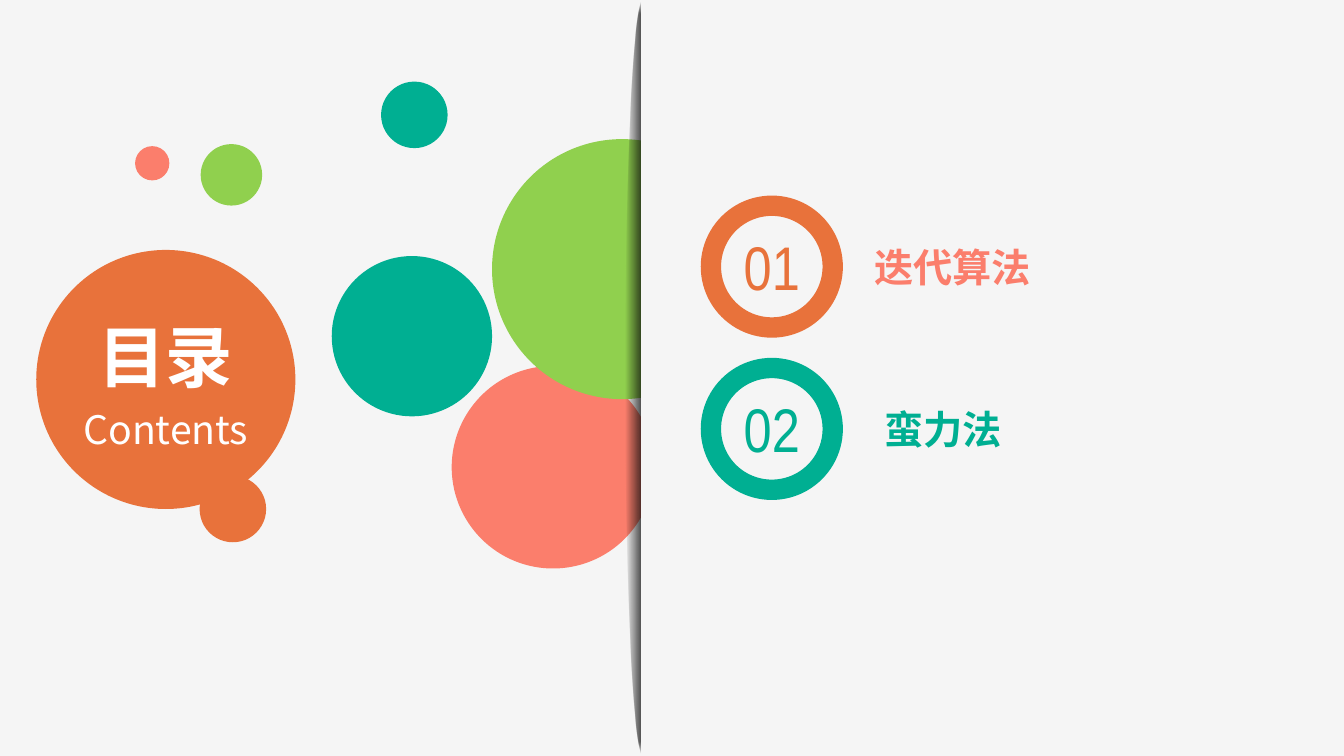
from lxml.etree import SubElement
from pptx import Presentation
from pptx.dml.color import RGBColor
from pptx.enum.shapes import MSO_SHAPE
from pptx.enum.text import MSO_ANCHOR, MSO_AUTO_SIZE, PP_ALIGN
from pptx.oxml import parse_xml
from pptx.oxml.ns import qn
from pptx.util import Inches, Pt

CORAL = RGBColor(0xFB, 0x7E, 0x6C)
ORANGE = RGBColor(0xE8, 0x72, 0x3B)
TEAL = RGBColor(0x00, 0xAF, 0x92)
GREEN = RGBColor(0x90, 0xD0, 0x4E)
PALE = RGBColor(0xF5, 0xF5, 0xF5)
WHITE = RGBColor(0xFF, 0xFF, 0xFF)

HEADING_FONT = "Noto Sans CJK SC"
NUMBER_FONT = "Arial Narrow"

BUBBLES = [
    (4.48, 3.63, 2.01, CORAL),
    (0.36, 2.48, 2.57, ORANGE),
    (3.29, 2.54, 1.59, TEAL),
    (4.88, 1.38, 2.58, GREEN),
    (1.98, 4.72, 0.66, ORANGE),
    (3.78, 0.81, 0.66, TEAL),
    (1.99, 1.43, 0.61, GREEN),
    (1.34, 1.45, 0.34, CORAL),
]

SECTIONS = [
    ("01", "迭代算法", ORANGE, CORAL, 3.34),
    ("02", "蛮力法", TEAL, TEAL, 3.15),
]
ROW_PITCH = 1.61
RING_SIZE = 1.41

FOLD_GRADIENT = """
<a:gradFill xmlns:a="http://schemas.openxmlformats.org/drawingml/2006/main" rotWithShape="1">
  <a:gsLst>
    <a:gs pos="0"><a:srgbClr val="0D0D0D"><a:alpha val="80000"/></a:srgbClr></a:gs>
    <a:gs pos="100000"><a:srgbClr val="0D0D0D"><a:alpha val="0"/></a:srgbClr></a:gs>
  </a:gsLst>
  <a:path path="shape"><a:fillToRect l="50000" t="50000" r="50000" b="50000"/></a:path>
</a:gradFill>"""


def add_solid(slide, preset, left, top, width, height, color):
    """Add a flat shape without outline or shadow."""
    shape = slide.shapes.add_shape(
        preset, Inches(left), Inches(top), Inches(width), Inches(height))
    shape.shadow.inherit = False
    shape.fill.solid()
    shape.fill.fore_color.rgb = color
    shape.line.fill.background()
    return shape


def style_paragraph(paragraph, font_name, color):
    """Centre a paragraph and set its typeface and colour."""
    paragraph.alignment = PP_ALIGN.CENTER
    paragraph.font.color.rgb = color
    paragraph.font.name = font_name
    SubElement(paragraph.font._element, qn("a:ea")).set("typeface", font_name)


def add_label(slide, left, top, width, height, text, font_name, size, color):
    """Add a centred one-line text box and return it."""
    label = slide.shapes.add_textbox(
        Inches(left), Inches(top), Inches(width), Inches(height))
    label.text_frame.auto_size = MSO_AUTO_SIZE.SHAPE_TO_FIT_TEXT
    paragraph = label.text_frame.paragraphs[0]
    paragraph.text = text
    style_paragraph(paragraph, font_name, color)
    paragraph.font.size = Pt(size)
    return label


def add_bubbles(slide, left, top):
    """Scatter the coloured circles from the given corner."""
    for x, y, diameter, color in BUBBLES:
        add_solid(slide, MSO_SHAPE.OVAL, left + x, top + y, diameter, diameter, color)


def add_page_fold(slide, left, top, width, height):
    """Lay the right-hand page over a soft shadow along its edge."""
    shadow = add_solid(slide, MSO_SHAPE.OVAL, left - 0.15, top, 0.34, height, PALE)
    properties = shadow._element.spPr
    properties.replace(properties.find(qn("a:solidFill")), parse_xml(FOLD_GRADIENT))
    add_solid(slide, MSO_SHAPE.RECTANGLE, left, top, width, height, PALE)


def place_title(slide, left, top, width, height):
    """Put the two-line heading on top of the large orange bubble."""
    title = slide.shapes.title
    title.left, title.top = Inches(left), Inches(top)
    title.width, title.height = Inches(width), Inches(height)
    slide.shapes._spTree.append(title._element)
    frame = title.text_frame
    frame.word_wrap = True
    frame.auto_size = MSO_AUTO_SIZE.SHAPE_TO_FIT_TEXT
    frame.vertical_anchor = MSO_ANCHOR.MIDDLE
    heading = frame.paragraphs[0]
    heading.line_spacing = 1.2
    style_paragraph(heading, HEADING_FONT, WHITE)
    chinese = heading.add_run()
    chinese.text = "目录"
    chinese.font.size = Pt(48)
    chinese.font.bold = True
    heading.add_line_break()
    english = heading.add_run()
    english.text = "Contents"
    english.font.size = Pt(28)
    english.font.bold = False


def add_section(slide, left, top, number, name, ring_color, name_color, name_width):
    """Add one numbered ring with its section name."""
    number_box = add_label(slide, left + (RING_SIZE - 0.84) / 2, top + 0.28, 0.84, 0.84,
                           number, NUMBER_FONT, 44, ring_color)
    number_box.text_frame.word_wrap = False
    ring = add_solid(slide, MSO_SHAPE.DONUT, left, top, RING_SIZE, RING_SIZE, ring_color)
    ring.adjustments[0] = 0.143
    name_box = add_label(slide, left + 0.83, top + 0.42, name_width, 0.57,
                         name, HEADING_FONT, 28, name_color)
    name_box.text_frame.word_wrap = True
    name_box.text_frame.vertical_anchor = MSO_ANCHOR.MIDDLE
    name_box.text_frame.paragraphs[0].font.bold = True


def add_contents_slide(presentation):
    """Build the table-of-contents slide."""
    slide = presentation.slides.add_slide(presentation.slide_layouts[5])
    slide.background.fill.solid()
    slide.background.fill.fore_color.rgb = PALE
    add_bubbles(slide, 0, 0)
    add_page_fold(slide, 6.36, 0, 6.97, 7.5)
    place_title(slide, 0.36, 2.91, 2.57, 1.64)
    for row, section in enumerate(SECTIONS):
        add_section(slide, 6.95, 1.94 + row * ROW_PITCH, *section)


def main():
    """Create and save the presentation."""
    presentation = Presentation()
    presentation.slide_width = Inches(13.33)
    presentation.slide_height = Inches(7.5)
    add_contents_slide(presentation)
    presentation.save("out.pptx")


if __name__ == "__main__":
    main()
